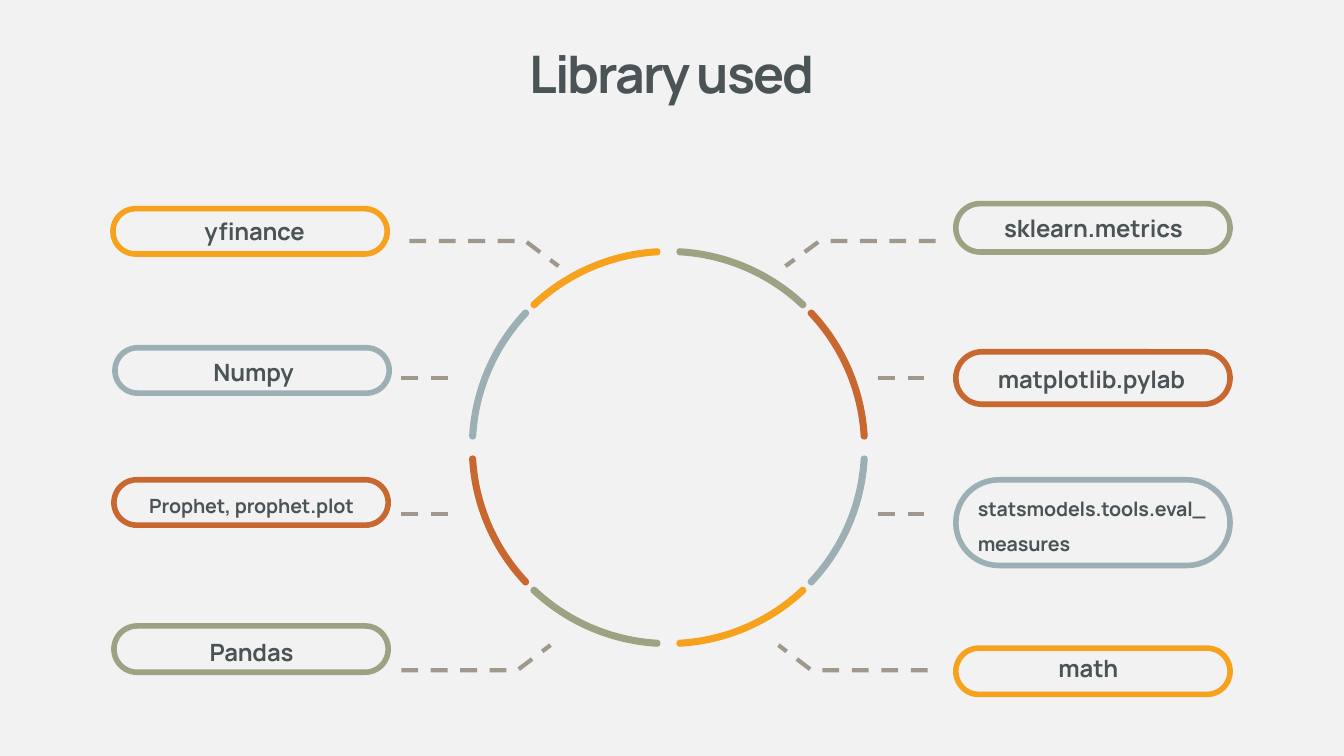
from math import cos, radians, sin, tan

from lxml import etree
from pptx import Presentation
from pptx.dml.color import RGBColor
from pptx.enum.dml import MSO_LINE
from pptx.enum.shapes import MSO_CONNECTOR, MSO_SHAPE
from pptx.enum.text import MSO_ANCHOR, MSO_AUTO_SIZE, PP_ALIGN
from pptx.oxml.ns import qn
from pptx.util import Inches, Pt

PAPER = RGBColor(0xF2, 0xF2, 0xF2)
INK = RGBColor(0x4A, 0x53, 0x56)
DASH = RGBColor(0xA0, 0x98, 0x8C)
GREEN = RGBColor(0x9C, 0xA3, 0x83)
AMBER = RGBColor(0xF6, 0xA2, 0x1D)
RUST = RGBColor(0xC9, 0x67, 0x31)
BLUE = RGBColor(0x9B, 0xAF, 0xB5)

TITLE = "Library used"
PILL_WIDTH, LABEL_WIDTH = 2.72, 2.49
LEFT, CENTER = PP_ALIGN.LEFT, PP_ALIGN.CENTER

# name, colour, pill (left, top, height), label (left, top, height),
# size, line spacing, alignment
LIBRARIES = [
    ("yfinance", AMBER, (1.12, 2.07, 0.45), (1.28, 2.09, 0.39), 17, 1, CENTER),
    ("Numpy", BLUE, (1.14, 3.45, 0.45), (1.27, 3.49, 0.39), 17, 1, CENTER),
    ("Prophet, prophet.plot", RUST, (1.13, 4.76, 0.45), (1.25, 4.84, 0.34), 14, 1, CENTER),
    ("Pandas", GREEN, (1.13, 6.21, 0.46), (1.25, 6.27, 0.39), 17, 1, CENTER),
    ("sklearn.metrics", GREEN, (9.48, 2.02, 0.48), (9.6, 1.96, 0.49), 17, 1.5, CENTER),
    ("matplotlib.pylab", RUST, (9.48, 3.49, 0.52), (9.58, 3.46, 0.49), 17, 1.5, CENTER),
    ("statsmodels.tools.eval_measures", BLUE, (9.48, 4.76, 0.85), (9.6, 4.78, 0.78), 14, 1.5, LEFT),
    ("math", AMBER, (9.48, 6.43, 0.46), (9.55, 6.43, 0.39), 17, 1, CENTER),
]

# Ring segments clockwise from the top
RING_COLORS = [GREEN, RUST, BLUE, AMBER, GREEN, RUST, BLUE, AMBER]
RING_X, RING_Y, RING_OUTER, RING_INNER = 6.63, 4.44, 1.98, 1.91
STEP = 360 / len(RING_COLORS)
ARC_SPAN, AXIS_GAP, DIAGONAL_GAP = 40.2, 3.2, 1.6
CAP_BULGE = 0.04

BENT_LEADERS = [
    [(4.06, 2.39), (5.21, 2.39), (5.54, 2.64)],
    [(9.28, 2.39), (8.13, 2.39), (7.79, 2.64)],
    [(9.2, 6.65), (8.05, 6.65), (7.72, 6.4)],
    [(3.98, 6.65), (5.13, 6.65), (5.46, 6.4)],
]
STRAIGHT_LEFTS, STRAIGHT_TOPS, STRAIGHT_LENGTH = (3.98, 8.71), (3.75, 5.1), 0.58


def ring_point(radius, angle, ahead=0):
    """Point at a clockwise angle from the top, moved ahead along the tangent."""
    across, down = sin(radians(angle)), -cos(radians(angle))
    return RING_X + radius * across - ahead * down, RING_Y + radius * down + ahead * across


def arc_outline(start, end):
    """Start point, then three points for each of four Bezier curves."""
    handle = 4 / 3 * tan(radians(end - start) / 4)
    outer, inner = RING_OUTER, RING_INNER
    return [
        ring_point(outer, start),
        ring_point(outer, start, outer * handle),
        ring_point(outer, end, -outer * handle),
        ring_point(outer, end),
        ring_point(outer, end, CAP_BULGE),
        ring_point(inner, end, CAP_BULGE),
        ring_point(inner, end),
        ring_point(inner, end, -inner * handle),
        ring_point(inner, start, inner * handle),
        ring_point(inner, start),
        ring_point(inner, start, -CAP_BULGE),
        ring_point(outer, start, -CAP_BULGE),
        ring_point(outer, start),
    ]


def add_outline(page, points, close):
    corners = [(Inches(x), Inches(y)) for x, y in points]
    builder = page.shapes.build_freeform(*corners[0])
    builder.add_line_segments(corners[1:], close=close)
    shape = builder.convert_to_shape()
    shape.shadow.inherit = False
    return shape


def curve_outline(shape):
    """Turn each three straight segments into one cubic curve."""
    segments = list(shape._element.iter(qn("a:lnTo")))
    for i in range(0, len(segments) - 2, 3):
        first, *others = segments[i:i + 3]
        first.tag = qn("a:cubicBezTo")
        for segment in others:
            first.append(segment[0])
            segment.getparent().remove(segment)


def style_line(line, color, width, dash=None):
    line.color.rgb = color
    line.width = Pt(width)
    if dash:
        line.dash_style = dash


def write(box, text, size, tracking, spacing=1, align=CENTER):
    frame = box.text_frame
    settings = {"word_wrap": True, "vertical_anchor": MSO_ANCHOR.BOTTOM,
                "auto_size": MSO_AUTO_SIZE.SHAPE_TO_FIT_TEXT}
    for name, value in settings.items():
        setattr(frame, name, value)
    para = frame.paragraphs[0]
    para.alignment = align
    para.line_spacing = float(spacing)
    span = para.add_run()
    span.text = text
    for name, value in {"name": "Manrope", "size": Pt(size), "bold": True}.items():
        setattr(span.font, name, value)
    span.font.color.rgb = INK
    span._r.get_or_add_rPr().set("spc", str(tracking))


def add_ring(page):
    for i, color in enumerate(RING_COLORS):
        start = i * STEP + (DIAGONAL_GAP if i % 2 else AXIS_GAP)
        arc = add_outline(page, arc_outline(start, start + ARC_SPAN), True)
        curve_outline(arc)
        arc.fill.solid()
        arc.fill.fore_color.rgb = color
        arc.line.fill.background()


def add_leaders(page):
    for points in BENT_LEADERS:
        leader = add_outline(page, points, False)
        leader.fill.background()
        style_line(leader.line, DASH, 3, MSO_LINE.DASH)
    for left in STRAIGHT_LEFTS:
        for top in STRAIGHT_TOPS:
            leader = page.shapes.add_connector(
                MSO_CONNECTOR.STRAIGHT, Inches(left), Inches(top),
                Inches(left + STRAIGHT_LENGTH), Inches(top))
            style_line(leader.line, DASH, 3, MSO_LINE.DASH)
            etree.SubElement(leader._element.spPr, qn("a:effectLst"))


def add_pill(page, color, place):
    left, top, height = map(Inches, place)
    pill = page.shapes.add_shape(MSO_SHAPE.ROUNDED_RECTANGLE, left, top,
                                 Inches(PILL_WIDTH), height)
    pill.adjustments[0] = 0.5
    pill.shadow.inherit = False
    pill.fill.background()
    style_line(pill.line, color, 4)


def add_label(page, name, place, size, spacing, align):
    left, top, height = map(Inches, place)
    label = page.shapes.add_textbox(left, top, Inches(LABEL_WIDTH), height)
    write(label, name, size, -10, spacing, align)


def main():
    deck = Presentation()
    deck.slide_width, deck.slide_height = Inches(13.33), Inches(7.5)
    page = deck.slides.add_slide(deck.slide_layouts[5])
    page.background.fill.solid()
    page.background.fill.fore_color.rgb = PAPER

    title = page.shapes.title
    place = {"left": 0.83, "top": 0.36, "width": 11.67, "height": 0.72}
    for name, value in place.items():
        setattr(title, name, Inches(value))
    write(title, TITLE, 37, -140)

    add_ring(page)
    for _, color, pill_place, *_ in LIBRARIES:
        add_pill(page, color, pill_place)
    add_leaders(page)
    for name, _, _, *label in LIBRARIES:
        add_label(page, name, *label)
    deck.save("out.pptx")


if __name__ == "__main__":
    main()
